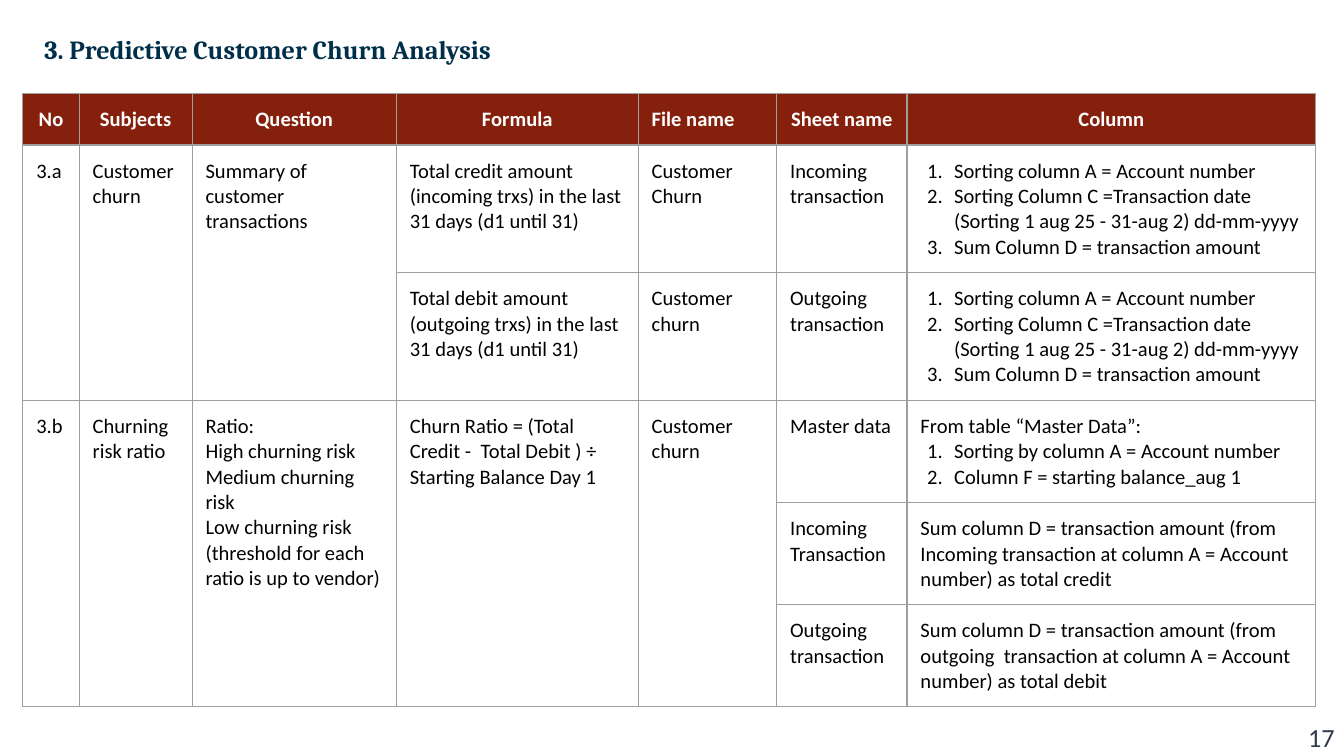
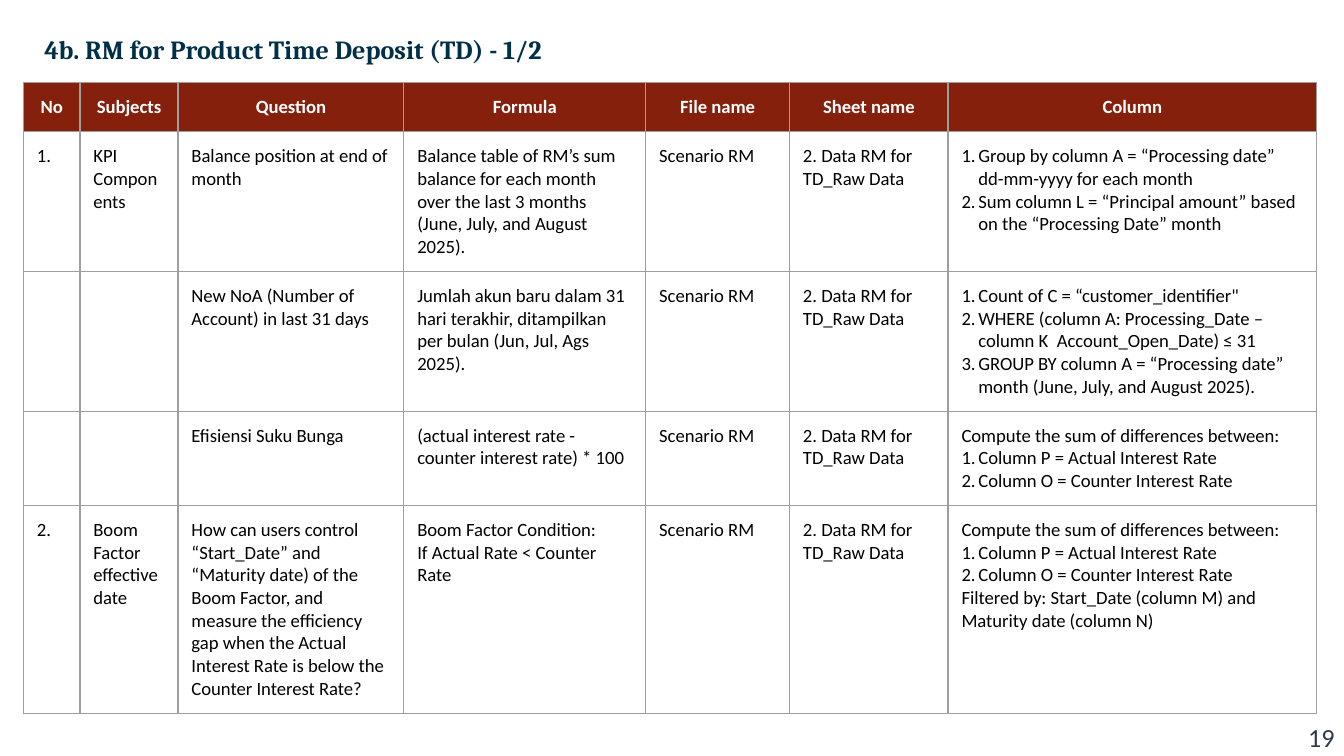
from itertools import takewhile

from lxml import etree
from pptx import Presentation
from pptx import util as u
from pptx.dml.color import RGBColor
from pptx.enum import text
from pptx.oxml.ns import qn

COLORS = {"title": "002F4A", "header": "85200C", "border": "9E9E9E",
          "head_text": "FFFFFF", "body": "000000", "number": "31394D"}
LEFT, CENTER, RIGHT = (text.PP_ALIGN.LEFT, text.PP_ALIGN.CENTER, text.PP_ALIGN.RIGHT)
HEADINGS = ["No", "Subjects", "Question", "Formula", "File name", "Sheet name", "Column"]
SORTING = ("# Sorting column A = Account number\n"
           "# Sorting Column C =Transaction date (Sorting 1 aug 25 - 31-aug 2) dd-mm-yyyy\n"
           "# Sum Column D = transaction amount")
RATES = ("Compute the sum of differences between:\n"
         "# Column P = Actual Interest Rate\n"
         "# Column O = Counter Interest Rate")
SCENARIO = ["Scenario RM", "2. Data RM for TD_Raw Data"]


class Deck:
    """Hold the style and current slide; lengths are in grid units, 100 to the slide width."""

    def __init__(self):
        self.prs = Presentation()
        self.prs.slide_width, self.prs.slide_height = u.Inches(10), u.Inches(5.625)
        self.unit = self.prs.slide_width // 100

    def grid(self, *lengths):
        return [round(n * self.unit) for n in lengths]

    def new_slide(self, title, number):
        self.s = self.prs.slides.add_slide(self.prs.slide_layouts[6])
        self.label(title, (2.6, 1.5, 94.4, 4.6), LEFT, text.MSO_ANCHOR.MIDDLE,
                   {"name": "Cambria", "size": u.Pt(14), "bold": True}, "title", 0.9)
        self.label(number, (72.8, 53.3, 27.2, 3), RIGHT, text.MSO_ANCHOR.TOP,
                   {"name": "Calibri", "size": u.Pt(14)}, "number")

    def margins(self, target, x, y):
        for side, width in zip(("left", "right", "top", "bottom"), self.grid(x, x, y, y)):
            setattr(target, "margin_" + side, width)

    def add_words(self, p, words, fmt, color):
        r = p.add_run()
        r.text = words
        for name, value in fmt.items():
            setattr(r.font, name, value)
        r.font.color.rgb = RGBColor.from_string(COLORS[color])

    def label(self, words, box, align, anchor, fmt, color, spacing=None):
        tf = self.s.shapes.add_textbox(*self.grid(*box)).text_frame
        tf.word_wrap, tf.vertical_anchor = True, anchor
        self.margins(tf, 0.7, 0.4)
        p = tf.paragraphs[0]
        p.alignment, p.line_spacing = align, spacing
        self.add_words(p, words, fmt, color)

    def number(self, p, margin, indent):
        pPr = p._p.get_or_add_pPr()
        for name, length in zip(("marL", "indent"), self.grid(margin, indent)):
            pPr.set(name, str(length))
        clr = etree.SubElement(pPr, qn("a:buClr"))
        etree.SubElement(clr, qn("a:srgbClr"), val=COLORS["body"])
        etree.SubElement(pPr, qn("a:buFont"), typeface="Calibri")
        etree.SubElement(pPr, qn("a:buAutoNum"), type="arabicPeriod")

    def borders(self, cell):
        tcPr = cell._tc.get_or_add_tcPr()
        for i, side in enumerate(("lnL", "lnR", "lnT", "lnB")):
            ln = etree.Element(qn("a:" + side), w=str(u.Pt(0.75)))
            fill = etree.SubElement(ln, qn("a:solidFill"))
            etree.SubElement(fill, qn("a:srgbClr"), val=COLORS["border"])
            tcPr.insert(i, ln)

    def fill_cell(self, cell, words, size, hang, align, header):
        self.margins(cell, 1, 1)
        if header:
            cell.fill.solid()
            cell.fill.fore_color.rgb = RGBColor.from_string(COLORS["header"])
        else:
            cell.fill.background()
        self.borders(cell)
        fmt = {"name": "Calibri", "size": u.Pt(size), "bold": header}
        for i, line in enumerate(words.split("\n") if words else []):
            tf = cell.text_frame
            p = tf.add_paragraph() if i else tf.paragraphs[0]
            if line.startswith("# "):
                self.number(p, *hang)
            p.alignment = align
            self.add_words(p, line.removeprefix("# "), fmt, "head_text" if header else "body")

    def table(self, left, top, widths, heights, rows, size, hang, left_heads=()):
        """Draw a table in which None continues the cell above."""
        rows = [HEADINGS] + rows
        box = self.grid(left, top, sum(widths), sum(heights))
        tbl = self.s.shapes.add_table(len(rows), len(widths), *box).table
        tbl.first_row = tbl.horz_banding = False
        for lines, lengths, name in ((tbl.columns, widths, "width"), (tbl.rows, heights, "height")):
            for line, length in zip(lines, self.grid(*lengths)):
                setattr(line, name, length)
        for r, row in enumerate(rows):
            for c, words in enumerate(row):
                header = r == 0
                align = CENTER if header and words not in left_heads else LEFT
                self.fill_cell(tbl.cell(r, c), words, size, hang, align, header)
                below = len(list(takewhile(lambda later: later[c] is None, rows[r + 1:])))
                if words is not None and below:
                    tbl.cell(r, c).merge(tbl.cell(r + below, c))


def main():
    deck = Deck()
    deck.new_slide("3. Predictive Customer Churn Analysis", "17")
    deck.table(1.7, 6.95, [4.2, 8.4, 15.2, 18, 10.3, 9.7, 30.4],
               [3.85, 9.5, 9.5, 7.6, 7.6, 7.6], [
        ["3.a", "Customer churn", "Summary of customer transactions",
         "Total credit amount (incoming trxs) in the last 31 days (d1 until 31)",
         "Customer Churn", "Incoming transaction", SORTING],
        [None, None, None,
         "Total debit amount (outgoing trxs) in the last 31 days (d1 until 31)",
         "Customer churn", "Outgoing transaction", SORTING],
        ["3.b", "Churning risk ratio",
         "Ratio:\nHigh churning risk\nMedium churning risk\nLow churning risk\n"
         "(threshold for each ratio is up to vendor)",
         "Churn Ratio = (Total Credit -  Total Debit ) ÷ Starting Balance Day 1",
         "Customer churn", "Master data",
         "From table “Master Data”:\n# Sorting by column A = Account number\n"
         "# Column F = starting balance_aug 1"],
        [None] * 5 + ["Incoming Transaction",
         "Sum column D = transaction amount (from Incoming transaction at column A = "
         "Account number) as total credit"],
        [None] * 5 + ["Outgoing transaction",
         "Sum column D = transaction amount (from outgoing  transaction at column A = "
         "Account number) as total debit"],
    ], 11, (2.5, -2), left_heads=["File name"])

    deck.new_slide("4b. RM for Product Time Deposit (TD) - 1/2", "19")
    deck.table(1.75, 6.13, [4.2, 7.3, 16.8, 18, 10.7, 11.8, 27.4],
               [3.6, 10.4, 10.4, 7, 15.5], [
        ["1.", "KPI Components", "Balance position at end of month",
         "Balance table of RM’s sum balance for each month over the last 3 months "
         "(June, July, and August 2025).", *SCENARIO,
         "# Group by column A = “Processing date” dd-mm-yyyy for each month\n"
         "# Sum column L = “Principal amount” based on the “Processing Date” month"],
        ["", "", "New NoA (Number of Account) in last 31 days",
         "Jumlah akun baru dalam 31 hari terakhir, ditampilkan per bulan "
         "(Jun, Jul, Ags 2025).", *SCENARIO,
         "# Count of C = “customer_identifier\"\n"
         "# WHERE (column A: Processing_Date – column K  Account_Open_Date) ≤ 31\n"
         "# GROUP BY column A = “Processing date” month (June, July, and August 2025)."],
        ["", "", "Efisiensi Suku Bunga",
         "(actual interest rate - counter interest rate) * 100", *SCENARIO, RATES],
        ["2.", "Boom Factor effective date",
         "How can users control “Start_Date” and “Maturity date) of the Boom Factor, and "
         "measure the efficiency gap when the Actual Interest Rate is below the Counter "
         "Interest Rate?",
         "Boom Factor Condition:\nIf Actual Rate < Counter Rate", *SCENARIO,
         RATES + "\nFiltered by: Start_Date (column M) and Maturity date (column N)"],
    ], 10, (1.25, -1.25))
    deck.prs.save("out.pptx")


if __name__ == "__main__":
    main()
